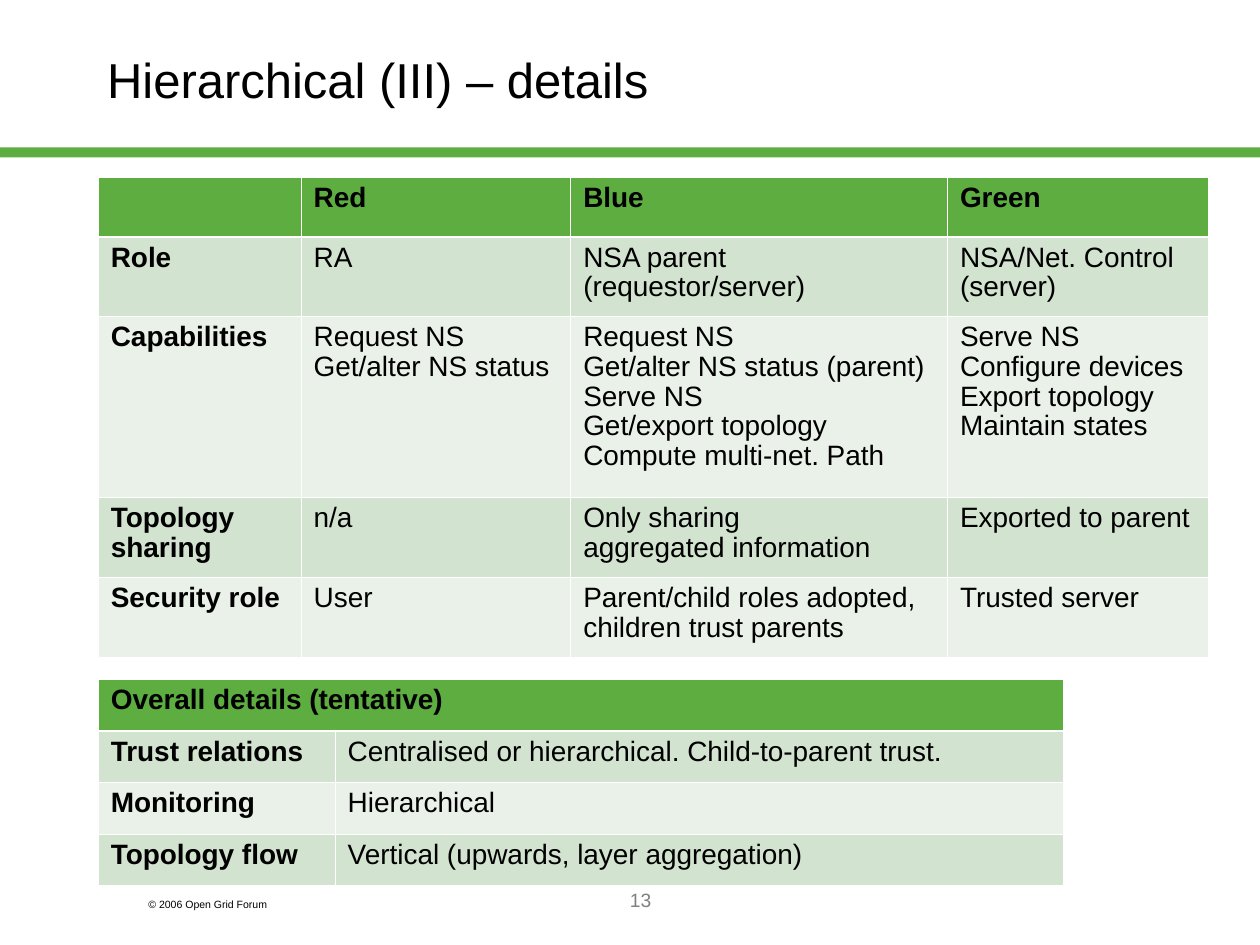
from copy import deepcopy

from lxml.etree import SubElement
from pptx import Presentation
from pptx.dml.color import RGBColor
from pptx.enum.shapes import MSO_SHAPE
from pptx.enum.text import MSO_ANCHOR, PP_ALIGN
from pptx.oxml.ns import qn
from pptx.util import Inches, Pt

GREEN, PALE, PALER = "5DAD41", "D2E3CF", "EAF1E8"
THIN, THICK = Pt(0.45), Pt(1.47)


def write(frame, text, size, color="000000", align=PP_ALIGN.LEFT, bold=False):
    """Fill a text frame; a newline starts a paragraph, a vertical tab breaks a line."""
    frame.text = text
    for para in frame.paragraphs:
        para.alignment = align
        for span in para.runs:
            style = {"name": "Arial", "size": Pt(size), "bold": bold}
            for name, value in style.items():
                setattr(span.font, name, value)
            span.font.color.rgb = RGBColor.from_string(color)
        # A line break takes the run's size, so line heights stay even
        for line_break in para._p.findall(qn("a:br")):
            line_break.append(deepcopy(para.runs[0]._r.rPr))


def add_border(cell, side, width):
    line = SubElement(cell._tc.get_or_add_tcPr(), qn(f"a:ln{side}"), w=str(width))
    fill = SubElement(line, qn("a:solidFill"))
    SubElement(fill, qn("a:srgbClr"), val="FFFFFF")


deck = Presentation()
deck.slide_width, deck.slide_height = Inches(10), Inches(7.5)
page = deck.slides.add_slide(deck.slide_layouts[5])

# Title and the rule below it
title = page.shapes.title
title.left, title.top = Inches(0.75), Inches(0)
title.width, title.height = Inches(8.5), Inches(1.25)
title.text_frame.vertical_anchor = MSO_ANCHOR.MIDDLE
write(title.text_frame, "Hierarchical (III) – details", 28)

rule = page.shapes.add_shape(
    MSO_SHAPE.RECTANGLE, Inches(0), Inches(1.17), Inches(10), Inches(0.08))
rule.shadow.inherit = False
rule.fill.solid()
rule.fill.fore_color.rgb = RGBColor.from_string(GREEN)
rule.line.fill.background()

# Footer
footers = [
    ("© 2006 Open Grid Forum", 1.08, 7.08, 1.5, 0.2, 6, "000000", PP_ALIGN.LEFT),
    ("13", 2.17, 7, 5.83, 0.5, 11, "808080", PP_ALIGN.CENTER),
]
for text, left, top, width, height, size, color, align in footers:
    box = page.shapes.add_textbox(
        Inches(left), Inches(top), Inches(width), Inches(height))
    box.text_frame.word_wrap = True
    write(box.text_frame, text, size, color, align)

# Tables: top, column widths, row heights, cell texts
roles = [
    ["", "Red", "Blue", "Green"],
    ["Role", "RA", "NSA parent\v(requestor/server)", "NSA/Net. Control\v(server)"],
    ["Capabilities",
     "Request NS\nGet/alter NS status",
     "Request NS\nGet/alter NS status (parent)\nServe NS\n"
     "Get/export topology\nCompute multi-net. Path",
     "Serve NS\nConfigure devices\nExport topology\nMaintain states"],
    ["Topology\vsharing", "n/a", "Only sharing\vaggregated information",
     "Exported to parent"],
    ["Security role", "User", "Parent/child roles adopted,\vchildren trust parents",
     "Trusted server"],
]
overall = [
    ["Overall details (tentative)", ""],
    ["Trust relations", "Centralised or hierarchical. Child-to-parent trust."],
    ["Monitoring", "Hierarchical"],
    ["Topology flow", "Vertical (upwards, layer aggregation)"],
]
tables = [
    (1.41, [1.61, 2.14, 2.99, 2.07], [0.47, 0.63, 1.44, 0.63, 0.64], roles),
    (5.39, [1.88, 5.78], [0.41] * 4, overall),
]
for top, widths, heights, texts in tables:
    table = page.shapes.add_table(
        len(heights), len(widths), Inches(0.78), Inches(top),
        Inches(sum(widths)), Inches(sum(heights))).table
    for column, width in zip(table.columns, widths):
        column.width = Inches(width)
    for r, (row, height) in enumerate(zip(table.rows, heights)):
        row.height = Inches(height)
        for c, cell in enumerate(row.cells):
            borders = {"L": THIN, "R": THIN,
                       "T": THICK if r == 1 else THIN,
                       "B": THICK if r == 0 else THIN}
            for side, width in borders.items():
                add_border(cell, side, width)
            cell.fill.solid()
            color = GREEN if r == 0 else PALE if r % 2 else PALER
            cell.fill.fore_color.rgb = RGBColor.from_string(color)
            write(cell.text_frame, texts[r][c], 16, bold=r == 0 or c == 0)
            for para in cell.text_frame.paragraphs:
                para.line_spacing = 0.96
    if texts is overall:
        table.cell(0, 0).merge(table.cell(0, 1))

deck.save("out.pptx")
